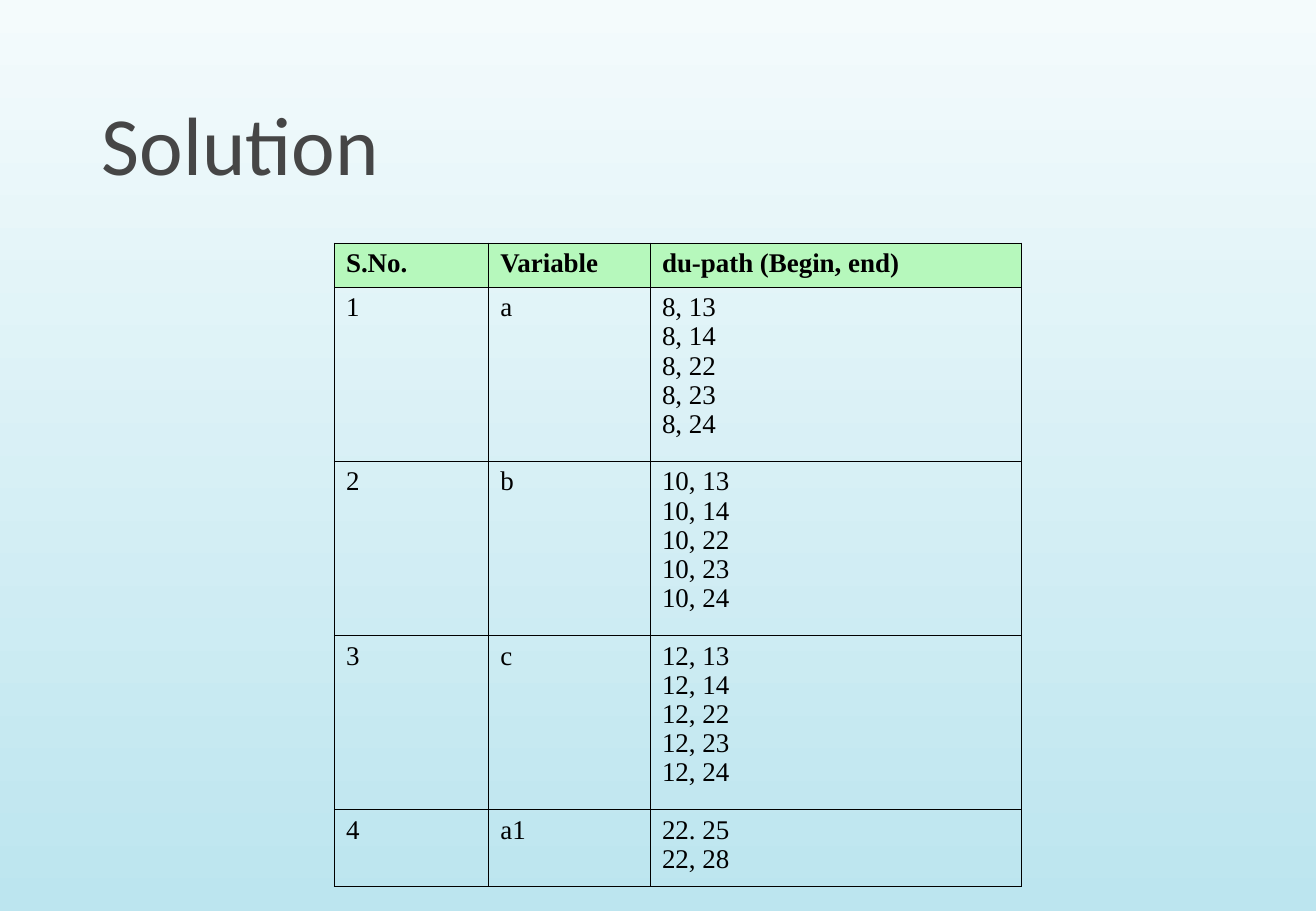
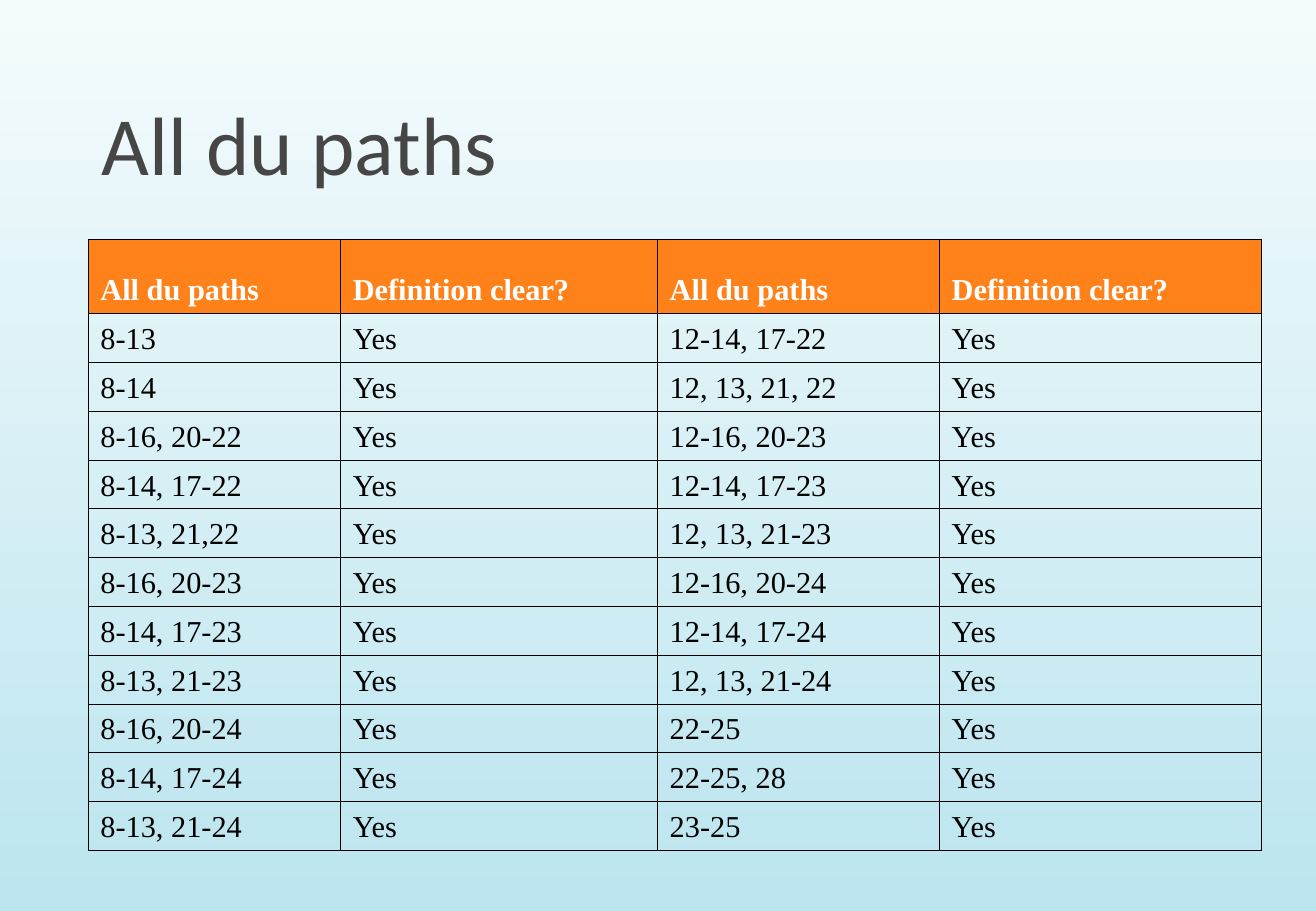
"""Build two slides of du-path tables on a shared pale blue gradient."""
from dataclasses import dataclass

from lxml.etree import SubElement
from pptx import Presentation
from pptx.dml.color import RGBColor as RGB
from pptx.enum.text import MSO_ANCHOR as Anchor, MSO_AUTO_SIZE as AutoSize, PP_ALIGN as Align
from pptx.oxml.ns import qn
from pptx.util import Cm, Pt

COLORS = {
    "sky_top": "F4FBFC",
    "sky_bottom": "BCE5EF",
    "title": "464646",
    "text": "000000",
    "border": "000000",
    "white": "FFFFFF",
    "green": "B6F8BC",
    "orange": "FF8119",
}
TITLE_FONT = {"name": "Calibri", "size": Pt(49), "bold": False}
TITLE_BOX = {"left": Cm(1.83), "top": Cm(0.43), "width": Cm(24.54), "height": Cm(3.73)}
TITLE_FRAME = {
    "margin_left": Cm(0.3),
    "margin_right": Cm(0.3),
    "margin_top": Cm(0.15),
    "margin_bottom": Cm(0.15),
    "vertical_anchor": Anchor.BOTTOM,
    "auto_size": AutoSize.NONE,
    "word_wrap": True,
}
CELL_MARGINS = {
    "margin_left": Cm(0.25),
    "margin_right": Cm(0.25),
    "margin_top": Cm(0.13),
    "margin_bottom": Cm(0.13),
}
BORDER_WIDTH = Pt(0.45)


@dataclass(frozen=True)
class TableSpec:
    left: float
    top: float
    columns: tuple[float, ...]
    heights: tuple[float, ...]
    rows: list[tuple[str, ...]]
    size: int
    header_fill: str
    header_text: str
    anchor: Anchor
    paragraph: dict


@dataclass(frozen=True)
class SlideSpec:
    title: str
    table: TableSpec


ENDS = (13, 14, 22, 23, 24)
VARIABLES = (("a", 8), ("b", 10), ("c", 12))
VARIABLE_ROWS = [
    ("S.No.", "Variable", "du-path (Begin, end)"),
    *((str(number), name, "\n".join(f"{begin}, {end}" for end in ENDS))
      for number, (name, begin) in enumerate(VARIABLES, 1)),
    ("4", "a1", "22. 25\n22, 28"),
]
LEFT_PATHS = (
    "8-13", "8-14", "8-16, 20-22", "8-14, 17-22", "8-13, 21,22", "8-16, 20-23",
    "8-14, 17-23", "8-13, 21-23", "8-16, 20-24", "8-14, 17-24", "8-13, 21-24",
)
RIGHT_PATHS = (
    "12-14, 17-22", "12, 13, 21, 22", "12-16, 20-23", "12-14, 17-23", "12, 13, 21-23",
    "12-16, 20-24", "12-14, 17-24", "12, 13, 21-24", "22-25", "22-25, 28", "23-25",
)
PATH_ROWS = [
    ("All du paths", "Definition clear?") * 2,
    *((left, "Yes", right, "Yes") for left, right in zip(LEFT_PATHS, RIGHT_PATHS)),
]
SLIDES = (
    SlideSpec("Solution", TableSpec(
        6.99, 5.08, (3.23, 3.38, 7.77), (0.93, 3.64, 3.64, 3.64, 1.6), VARIABLE_ROWS,
        16, "green", "text", Anchor.TOP,
        {"alignment": Align.JUSTIFY, "line_spacing": 0.97})),
    SlideSpec("All du paths", TableSpec(
        1.85, 5.0, (5.28, 6.63, 5.9, 6.73), (1.56,) + (1.02,) * len(LEFT_PATHS), PATH_ROWS,
        18, "orange", "white", Anchor.BOTTOM, {"alignment": Align.LEFT})),
)


def apply(target, values: dict) -> None:
    for name, value in values.items():
        setattr(target, name, value)


def rgb(color: str) -> RGB:
    return RGB.from_string(COLORS[color])


def format_font(font, values: dict, color: str) -> None:
    apply(font, values)
    font.color.rgb = rgb(color)


def set_background(prs) -> None:
    fill = prs.slide_master.background.fill
    fill.gradient()
    fill.gradient_angle = 270
    for stop, color, position in zip(fill.gradient_stops, ("sky_top", "sky_bottom"), (0, 1)):
        stop.color.rgb = rgb(color)
        stop.position = position


def add_title(s, text: str) -> None:
    title = s.shapes.title
    apply(title, TITLE_BOX)
    tf = title.text_frame
    apply(tf, TITLE_FRAME)
    tf.text = text
    p = tf.paragraphs[0]
    p.alignment = Align.LEFT
    format_font(p.runs[0].font, TITLE_FONT, "title")


def add_borders(cell) -> None:
    properties = cell._tc.get_or_add_tcPr()
    for side in ("lnL", "lnR", "lnT", "lnB"):
        line = SubElement(properties, qn(f"a:{side}"), w=str(int(BORDER_WIDTH)))
        fill = SubElement(line, qn("a:solidFill"))
        SubElement(fill, qn("a:srgbClr"), val=COLORS["border"])


def fill_cell(cell, text: str, spec: TableSpec, header: bool) -> None:
    apply(cell, {**CELL_MARGINS, "vertical_anchor": spec.anchor})
    add_borders(cell)
    if header:
        cell.fill.solid()
        cell.fill.fore_color.rgb = rgb(spec.header_fill)
    else:
        cell.fill.background()
    cell.text_frame.text = text
    font = {"name": "Times New Roman", "size": Pt(spec.size), "bold": header}
    for p in cell.text_frame.paragraphs:
        apply(p, spec.paragraph)
        for r in p.runs:
            format_font(r.font, font, spec.header_text if header else "text")


def add_table(s, spec: TableSpec) -> None:
    table = s.shapes.add_table(
        len(spec.rows), len(spec.columns), Cm(spec.left), Cm(spec.top),
        Cm(sum(spec.columns)), Cm(sum(spec.heights))).table
    apply(table, {"first_row": False, "horz_banding": False})
    for column, width in zip(table.columns, spec.columns):
        column.width = Cm(width)
    for i, (row, height, texts) in enumerate(zip(table.rows, spec.heights, spec.rows)):
        row.height = Cm(height)
        for cell, text in zip(row.cells, texts):
            fill_cell(cell, text, spec, header=i == 0)


def main() -> None:
    prs = Presentation()
    apply(prs, {"slide_width": Cm(27.53), "slide_height": Cm(19.05)})
    set_background(prs)
    layout = prs.slide_layouts.get_by_name("Title Only")
    for spec in SLIDES:
        s = prs.slides.add_slide(layout)
        add_title(s, spec.title)
        add_table(s, spec.table)
    prs.save("out.pptx")


if __name__ == "__main__":
    main()
